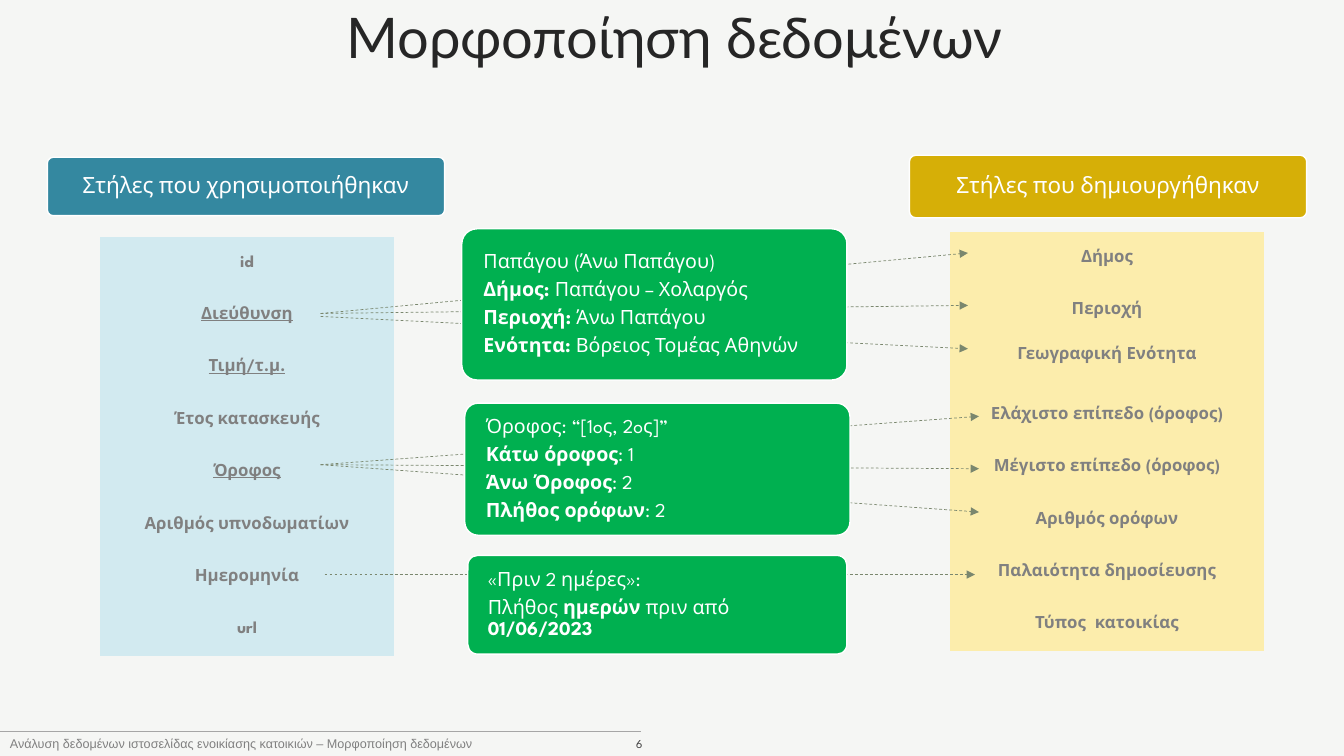
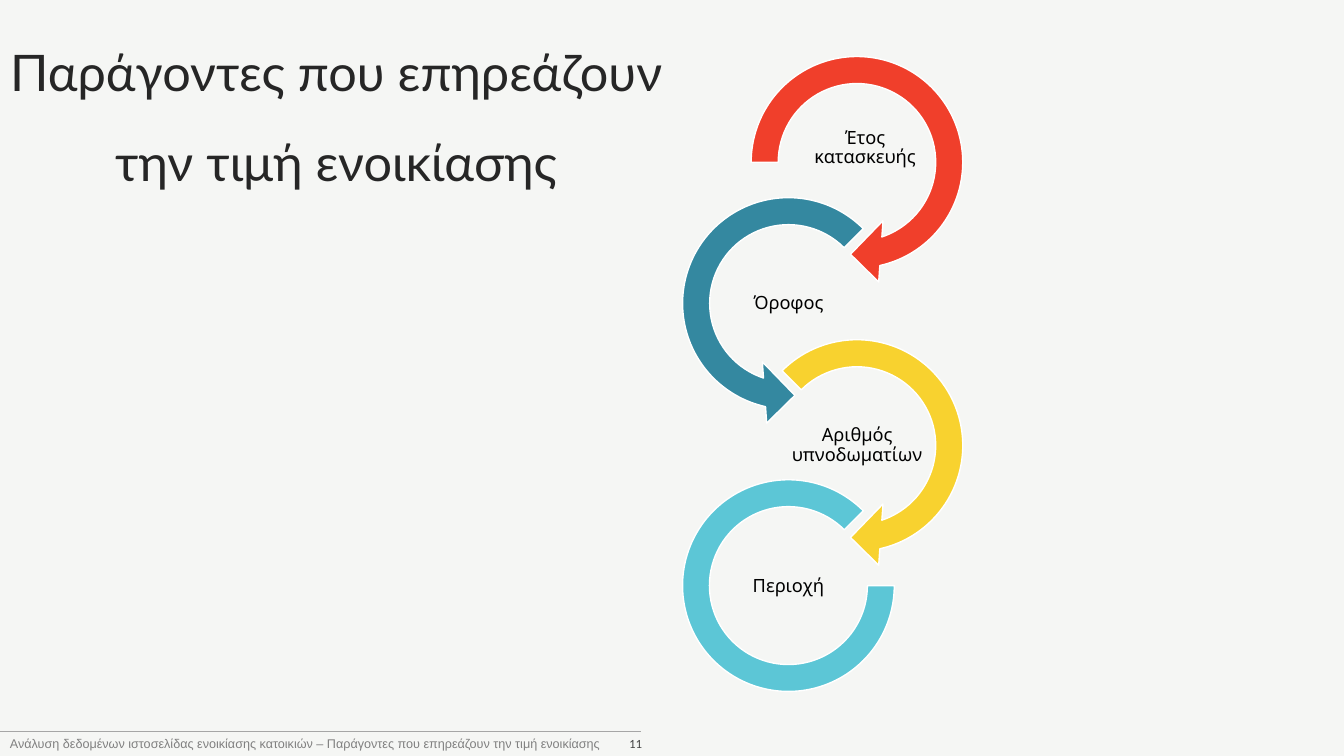
from dataclasses import dataclass

import lxml.etree
import pptx
import pptx.dml.color
import pptx.enum.dml
import pptx.enum.shapes
import pptx.enum.text
import pptx.oxml.ns
import pptx.util

RGBColor = pptx.dml.color.RGBColor
Anchor = pptx.enum.text.MSO_ANCHOR
Align = pptx.enum.text.PP_ALIGN
Preset = pptx.enum.shapes.MSO_SHAPE
qn = pptx.oxml.ns.qn

# Scale: 100 px to the inch
EMU_PER_PX = 9144
PAGE_WIDTH, PAGE_HEIGHT = 1333, 750

# Shared colours and fonts
PAPER = RGBColor(0xF5, 0xF6, 0xF4)
WHITE = RGBColor(0xFF, 0xFF, 0xFF)
BLACK = RGBColor(0x00, 0x00, 0x00)
TITLE_INK = RGBColor(0x26, 0x26, 0x26)
NUMBER_INK = RGBColor(0x40, 0x40, 0x40)
GREY = RGBColor(0x80, 0x80, 0x80)
RULE_GREY = RGBColor(0xA6, 0xA6, 0xA6)
ARROW_GREEN = RGBColor(0x7A, 0x87, 0x6E)
TEAL = RGBColor(0x34, 0x88, 0xA0)
PALE_TEAL = RGBColor(0xD2, 0xEA, 0xF0)
GOLD = RGBColor(0xD6, 0xAF, 0x07)
PALE_GOLD = RGBColor(0xFC, 0xED, 0xAC)
GREEN = RGBColor(0x00, 0xB0, 0x50)
RED = RGBColor(0xF0, 0x3F, 0x2B)
YELLOW = RGBColor(0xF8, 0xD2, 0x2F)
CYAN = RGBColor(0x5C, 0xC6, 0xD6)

TITLE_FONT, FOOTER_FONT, BODY_FONT = "Lato", "Arial", "League Spartan"
FOOTER_START = "Ανάλυση δεδομένων ιστοσελίδας ενοικίασης κατοικιών – "
NO_TABLE_STYLE = "{2D5ABB26-0587-4C30-8999-92F81FD0307C}"
BOLD_MARK = "**"


@dataclass(frozen=True)
class Area:
    left: int
    top: int
    width: int
    height: int

    def emu(self) -> list[int]:
        return [px(n) for n in (self.left, self.top, self.width, self.height)]


@dataclass(frozen=True)
class TextStyle:
    font: str
    size: int
    color: RGBColor
    align: Align = Align.LEFT
    anchor: Anchor = Anchor.MIDDLE
    spacing: float | None = None
    after_percent: int = 0
    margins: tuple[int, int, int, int] = (10, 5, 10, 5)


@dataclass(frozen=True)
class Card:
    area: Area
    fill: RGBColor
    lines: tuple[str, ...]
    style: TextStyle


@dataclass(frozen=True)
class Column:
    left: int
    top: int
    width: int
    fill: RGBColor
    names: tuple[str, ...]


@dataclass(frozen=True)
class Arrow:
    start: tuple[int, int]
    end: tuple[int, int]


@dataclass(frozen=True)
class Ring:
    preset: Preset
    area: Area
    adjustments: tuple[float, ...]
    fill: RGBColor
    label: str
    label_left: int
    label_top: int


HEADER = TextStyle(BODY_FONT, 16, WHITE, Align.CENTER, spacing=0.9,
                   after_percent=35, margins=(12, 10, 12, 10))
NOTE = TextStyle(BODY_FONT, 14, WHITE, spacing=0.9, after_percent=35,
                 margins=(17, 10, 5, 10))
LABEL = TextStyle(BODY_FONT, 13, BLACK, Align.CENTER, spacing=0.9,
                  after_percent=35, margins=(1, 1, 1, 1))
CELL = TextStyle(BODY_FONT, 12, GREY, Align.CENTER)
FOOTER = TextStyle(FOOTER_FONT, 9, GREY, anchor=Anchor.BOTTOM)
NUMBER = TextStyle(TITLE_FONT, 8, NUMBER_INK, Align.RIGHT, Anchor.BOTTOM)

# Data formatting slide
CARDS = (
    Card(Area(47, 156, 394, 58), TEAL, ("Στήλες που χρησιμοποιήθηκαν",), HEADER),
    Card(Area(902, 154, 394, 62), GOLD, ("Στήλες που δημιουργήθηκαν",), HEADER),
    Card(Area(458, 227, 382, 150), GREEN, (
        "Παπάγου (Άνω Παπάγου)",
        "**Δήμος: **Παπάγου – Χολαργός",
        "**Περιοχή: **Άνω Παπάγου",
        "**Ενότητα: **Βόρειος Τομέας Αθηνών"), NOTE),
    Card(Area(461, 400, 382, 131), GREEN, (
        "Όροφος: “[1oς, 2oς]”",
        "**Κάτω όροφος**: 1",
        "**Άνω Όροφος**: 2",
        "**Πλήθος ορόφων**: 2"), NOTE),
    Card(Area(464, 551, 376, 98), GREEN, (
        "«Πριν 2 ημέρες»:",
        "Πλήθος **ημερών** πριν από **01/06/2023**"), NOTE),
)
ROW_HEIGHT = 52
COLUMNS = (
    Column(99, 235, 292, PALE_TEAL, (
        "id", "Διεύθυνση", "Τιμή/τ.μ.", "Έτος κατασκευής", "Όροφος",
        "Αριθμός υπνοδωματίων", "Ημερομηνία", "url")),
    Column(942, 230, 312, PALE_GOLD, (
        "Δήμος", "Περιοχή", "Γεωγραφική Ενότητα",
        "Ελάχιστο επίπεδο (όροφος)", "Μέγιστο επίπεδο (όροφος)",
        "Αριθμός ορόφων", "Παλαιότητα δημοσίευσης", "Τύπος  κατοικίας")),
)
UNDERLINED = {"Διεύθυνση", "Τιμή/τ.μ.", "Όροφος"}
RAISED = {"Γεωγραφική Ενότητα"}
ARROWS = (
    Arrow((318, 311), (960, 251)),
    Arrow((318, 311), (960, 303)),
    Arrow((318, 314), (960, 346)),
    Arrow((318, 461), (971, 413)),
    Arrow((318, 461), (971, 465)),
    Arrow((318, 461), (971, 508)),
    Arrow((322, 570), (967, 570)),
)

# Rent factors slide
RINGS = (
    Ring(Preset.CIRCULAR_ARROW, Area(728, 39, 244, 244),
         (0.11, 11.42, 45, 108, 0.125), RED, "Έτος κατασκευής", 790, 113),
    Ring(Preset.LEFT_CIRCULAR_ARROW, Area(660, 179, 244, 244),
         (0.11, 11.42, 63, 189, 0.125), TEAL, "Όροφος", 714, 267),
    Ring(Preset.CIRCULAR_ARROW, Area(728, 320, 244, 244),
         (0.11, 11.42, 45, 135, 0.125), YELLOW, "Αριθμός υπνοδωματίων", 782, 408),
    Ring(Preset.BLOCK_ARC, Area(677, 476, 210, 210),
         (0, 189, 0.127), CYAN, "Περιοχή", 714, 548),
)


def px(length: int) -> int:
    return pptx.util.Emu(length * EMU_PER_PX)


def write(frame, lines: tuple[str, ...], style: TextStyle) -> None:
    """Fill a text frame; pieces between bold marks become bold spans."""
    frame.word_wrap = True
    frame.vertical_anchor = style.anchor
    (frame.margin_left, frame.margin_top,
     frame.margin_right, frame.margin_bottom) = map(px, style.margins)
    for index, line in enumerate(lines):
        para = frame.add_paragraph() if index else frame.paragraphs[0]
        para.alignment = style.align
        if style.spacing:
            para.line_spacing = style.spacing
        if style.after_percent:
            after = lxml.etree.SubElement(para._p.get_or_add_pPr(), qn("a:spcAft"))
            lxml.etree.SubElement(after, qn("a:spcPct"),
                                  val=str(style.after_percent * 1000))
        for place, piece in enumerate(line.split(BOLD_MARK)):
            if piece:
                span = para.add_run()
                span.text = piece
                span.font.name = style.font
                span.font.size = pptx.util.Pt(style.size)
                span.font.color.rgb = style.color
                span.font.bold = place % 2 == 1


def add_text(page, area: Area, text: str, style: TextStyle) -> None:
    write(page.shapes.add_textbox(*area.emu()).text_frame, (text,), style)


def add_filled(page, preset: Preset, area: Area, fill: RGBColor,
               adjustments: tuple[float, ...]):
    shape = page.shapes.add_shape(preset, *area.emu())
    shape.shadow.inherit = False
    for index, value in enumerate(adjustments):
        shape.adjustments[index] = value
    shape.fill.solid()
    shape.fill.fore_color.rgb = fill
    shape.line.color.rgb = WHITE
    shape.line.width = pptx.util.Pt(1)
    return shape


def add_line(page, line: Arrow, color: RGBColor, arrow: bool = False) -> None:
    connector = page.shapes.add_connector(
        pptx.enum.shapes.MSO_CONNECTOR.STRAIGHT,
        *(px(n) for n in line.start + line.end))
    connector.line.color.rgb = color
    connector.line.width = pptx.util.Pt(0.5)
    properties = connector._element.spPr
    if arrow:
        connector.line.dash_style = pptx.enum.dml.MSO_LINE.DASH
        lxml.etree.SubElement(properties.find(qn("a:ln")), qn("a:tailEnd"),
                              type="triangle")
    lxml.etree.SubElement(properties, qn("a:effectLst"))


def add_column(page, column: Column) -> None:
    count = len(column.names)
    area = Area(column.left, column.top, column.width, ROW_HEIGHT * count)
    table = page.shapes.add_table(count, 1, *area.emu()).table
    table.first_row = table.horz_banding = False
    table._tbl.tblPr.find(qn("a:tableStyleId")).text = NO_TABLE_STYLE
    for index, name in enumerate(column.names):
        table.rows[index].height = px(ROW_HEIGHT)
        cell = table.cell(index, 0)
        cell.fill.solid()
        cell.fill.fore_color.rgb = column.fill
        write(cell.text_frame, (BOLD_MARK + name,), CELL)
        cell.vertical_anchor = CELL.anchor
        cell.margin_left = cell.margin_right = px(10)
        cell.margin_top = px(5)
        cell.margin_bottom = px(19 if name in RAISED else 5)
        cell.text_frame.paragraphs[0].runs[0].font.underline = name in UNDERLINED


def add_page(deck, number: int, title: str, area: Area, size: int, spacing: float):
    """Add a page with the shared background, footer and title."""
    page = deck.slides.add_slide(deck.slide_layouts[6])
    page.background.fill.solid()
    page.background.fill.fore_color.rgb = PAPER
    add_text(page, Area(555, 710, 92, 40), str(number), NUMBER)
    add_text(page, Area(0, 710, 636, 40), FOOTER_START + title, FOOTER)
    add_line(page, Arrow((0, 726), (636, 726)), RULE_GREY)
    style = TextStyle(TITLE_FONT, size, TITLE_INK, Align.CENTER, spacing=spacing)
    add_text(page, area, title, style)
    return page


def build_formatting(deck) -> None:
    page = add_page(deck, 6, "Μορφοποίηση δεδομένων",
                    Area(119, 0, 1100, 80), 40, 0.9)
    for column in COLUMNS:
        add_column(page, column)
    for arrow in ARROWS:
        add_line(page, arrow, ARROW_GREEN, arrow=True)
    for card in CARDS:
        box = add_filled(page, Preset.ROUNDED_RECTANGLE, card.area, card.fill, (0.1,))
        write(box.text_frame, card.lines, card.style)


def build_factors(deck) -> None:
    page = add_page(deck, 11, "Παράγοντες που επηρεάζουν την τιμή ενοικίασης",
                    Area(0, 0, 667, 201), 36, 1.5)
    for ring in RINGS:
        add_filled(page, ring.preset, ring.area, ring.fill, ring.adjustments)
        add_text(page, Area(ring.label_left, ring.label_top, 136, 68),
                 ring.label, LABEL)


def main() -> None:
    deck = pptx.Presentation()
    deck.slide_width, deck.slide_height = px(PAGE_WIDTH), px(PAGE_HEIGHT)
    build_formatting(deck)
    build_factors(deck)
    deck.save("out.pptx")


if __name__ == "__main__":
    main()
